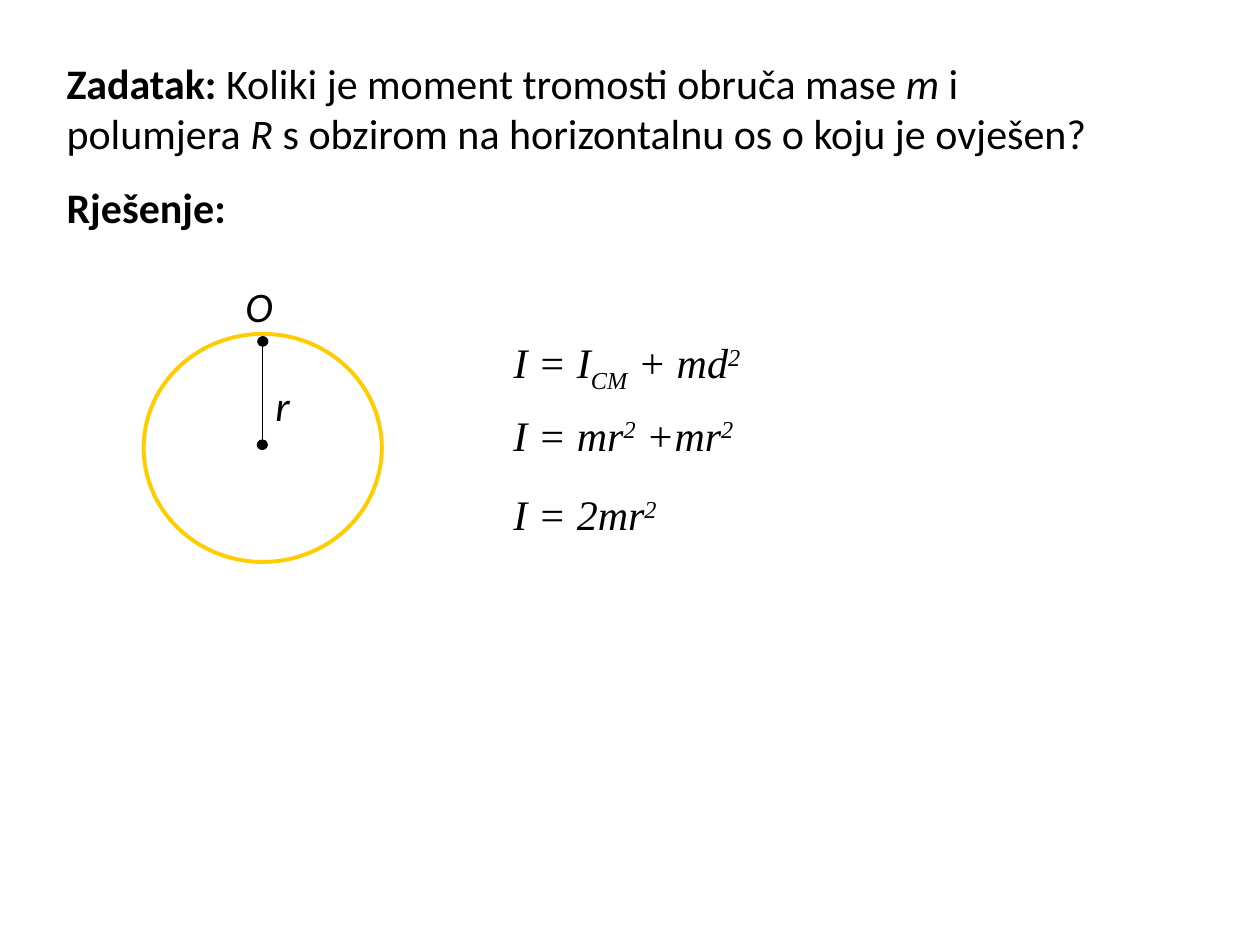
from copy import deepcopy

from lxml import etree
from pptx import Presentation
from pptx.dml.color import RGBColor
from pptx.enum.shapes import MSO_CONNECTOR, MSO_SHAPE
from pptx.enum.text import MSO_ANCHOR, PP_ALIGN
from pptx.oxml.ns import qn
from pptx.util import Inches, Pt

BLACK = RGBColor(0x00, 0x00, 0x00)
GOLD = RGBColor(0xFF, 0xCC, 0x00)
OVAL = MSO_SHAPE.OVAL
STRAIGHT = MSO_CONNECTOR.STRAIGHT
TOP, MIDDLE = MSO_ANCHOR.TOP, MSO_ANCHOR.MIDDLE
LEFT, JUSTIFY = PP_ALIGN.LEFT, PP_ALIGN.JUSTIFY

# The slide is a grid of 100 columns by 75 rows.
CELL = Inches(0.1)
COLUMNS, ROWS = 100, 75

BODY_FONT, FORMULA_FONT = "Calibri", "Times New Roman"
TEXT_SIZE = Pt(24)
THIN, THICK = Pt(0.75), Pt(2.25)
LINE_HEIGHT = 5
MARGIN = 4.3
FORMULA_COLUMN = 39.77
RADIUS_COLUMN = 20.86
HOOP = (11.4, 26.5, 18.9, 18.1)
PIVOT_ROW, CENTER_ROW = 27.1, 35.3
ARC_LENGTH = 0.06

# Each dot is a tiny arc with round ends: its start and the centre of its arc.
DOTS = [
    ((20.79, CENTER_ROW), (13.8, 42.3)),
    ((20.83, PIVOT_ROW), (12.2, 32.8)),
]

# Run styles: font attributes, with the baseline shift in percent.
PLAIN, BOLD, ITALIC = {}, {"bold": True}, {"italic": True}
SUBSCRIPT = {"italic": True, "baseline": -25}
SUPERSCRIPT = {"italic": True, "baseline": 30}

TASK = [
    [("Zadatak:", BOLD), (" Koliki je moment tromosti obruča mase ", PLAIN),
     ("m", ITALIC), (" i", PLAIN)],
    [("polumjera ", PLAIN), ("R", ITALIC),
     (" s obzirom na horizontalnu os o koju je ovješen?", PLAIN)],
]
FORMULAS = [
    (26.5, 21.1, [("I = I", ITALIC), ("CM", SUBSCRIPT), (" + md", ITALIC),
                  ("2", SUPERSCRIPT)]),
    (32, 20, [("I = mr", ITALIC), ("2", SUPERSCRIPT), (" +mr", ITALIC),
              ("2", SUPERSCRIPT)]),
    (38.3, 13.7, [("I = 2mr", ITALIC), ("2", SUPERSCRIPT)]),
]


def cells(*counts):
    return [round(count * CELL) for count in counts]


def add_run(paragraph, text, style):
    run = paragraph.add_run()
    run.text = text
    run.font.bold = style.get("bold")
    run.font.italic = style.get("italic")
    if "baseline" in style:
        run._r.get_or_add_rPr().set("baseline", str(style["baseline"] * 1000))


def add_text(slide, box, lines, font=BODY_FONT, anchor=MIDDLE, align=LEFT):
    """Add a text box with one paragraph for each list of (text, style) runs."""
    frame = slide.shapes.add_textbox(*cells(*box)).text_frame
    frame.word_wrap = True
    frame.vertical_anchor = anchor
    for index, runs in enumerate(lines):
        paragraph = frame.add_paragraph() if index else frame.paragraphs[0]
        paragraph.alignment = align
        paragraph.font.name = font
        paragraph.font.size = TEXT_SIZE
        paragraph.font.color.rgb = BLACK
        for text, style in runs:
            add_run(paragraph, text, style)


def set_outline(shape, color, width):
    shape.line.color.rgb = color
    shape.line.width = width


def add_hoop(slide):
    hoop = slide.shapes.add_shape(OVAL, *cells(*HOOP))
    hoop.shadow.inherit = False
    hoop.fill.background()
    set_outline(hoop, GOLD, THICK)


def add_dot(slide, start, arc_center):
    """Add an arc with round ends, and its sector as a path without a line."""
    end = (start[0] + ARC_LENGTH, start[1])
    builder = slide.shapes.build_freeform(*cells(*start))
    builder.add_line_segments([cells(*end)], close=False)
    builder.move_to(*cells(*start))
    builder.add_line_segments([cells(*end), cells(*arc_center)], close=True)
    dot = builder.convert_to_shape()
    dot.shadow.inherit = False
    dot.fill.background()
    set_outline(dot, BLACK, THIN)

    arc = dot._element.spPr.find(".//" + qn("a:path"))
    sector = deepcopy(arc)
    sector.set("stroke", "0")
    for command in list(arc)[2:]:
        arc.remove(command)
    for command in list(sector)[:2]:
        sector.remove(command)
    arc.addnext(sector)

    for tag in ("a:headEnd", "a:tailEnd"):
        etree.SubElement(dot.line._get_or_add_ln(), qn(tag), type="oval")


def add_radius(slide):
    radius = slide.shapes.add_connector(STRAIGHT, *cells(
        RADIUS_COLUMN, CENTER_ROW, RADIUS_COLUMN, PIVOT_ROW))
    set_outline(radius, BLACK, THIN)
    etree.SubElement(radius._element.spPr, qn("a:effectLst"))


def main():
    presentation = Presentation()
    presentation.slide_width, presentation.slide_height = cells(COLUMNS, ROWS)
    slide = presentation.slides.add_slide(presentation.slide_layouts[6])

    add_text(slide, (MARGIN, 4, 84.4, 9.1), TASK, align=JUSTIFY)
    add_text(slide, (MARGIN, 13.9, 16.8, LINE_HEIGHT),
             [[("Rješenje:", BOLD)]], align=JUSTIFY)

    add_hoop(slide)
    add_radius(slide)
    for start, arc_center in DOTS:
        add_dot(slide, start, arc_center)
    add_text(slide, (18.5, 21.75, 4.6, LINE_HEIGHT), [[("O", ITALIC)]], anchor=TOP)
    add_text(slide, (20.87, 29.6, 3.2, LINE_HEIGHT), [[("r", ITALIC)]], anchor=TOP)

    for row, width, runs in FORMULAS:
        add_text(slide, (FORMULA_COLUMN, row, width, LINE_HEIGHT), [runs],
                 font=FORMULA_FONT)

    presentation.save("out.pptx")


if __name__ == "__main__":
    main()
